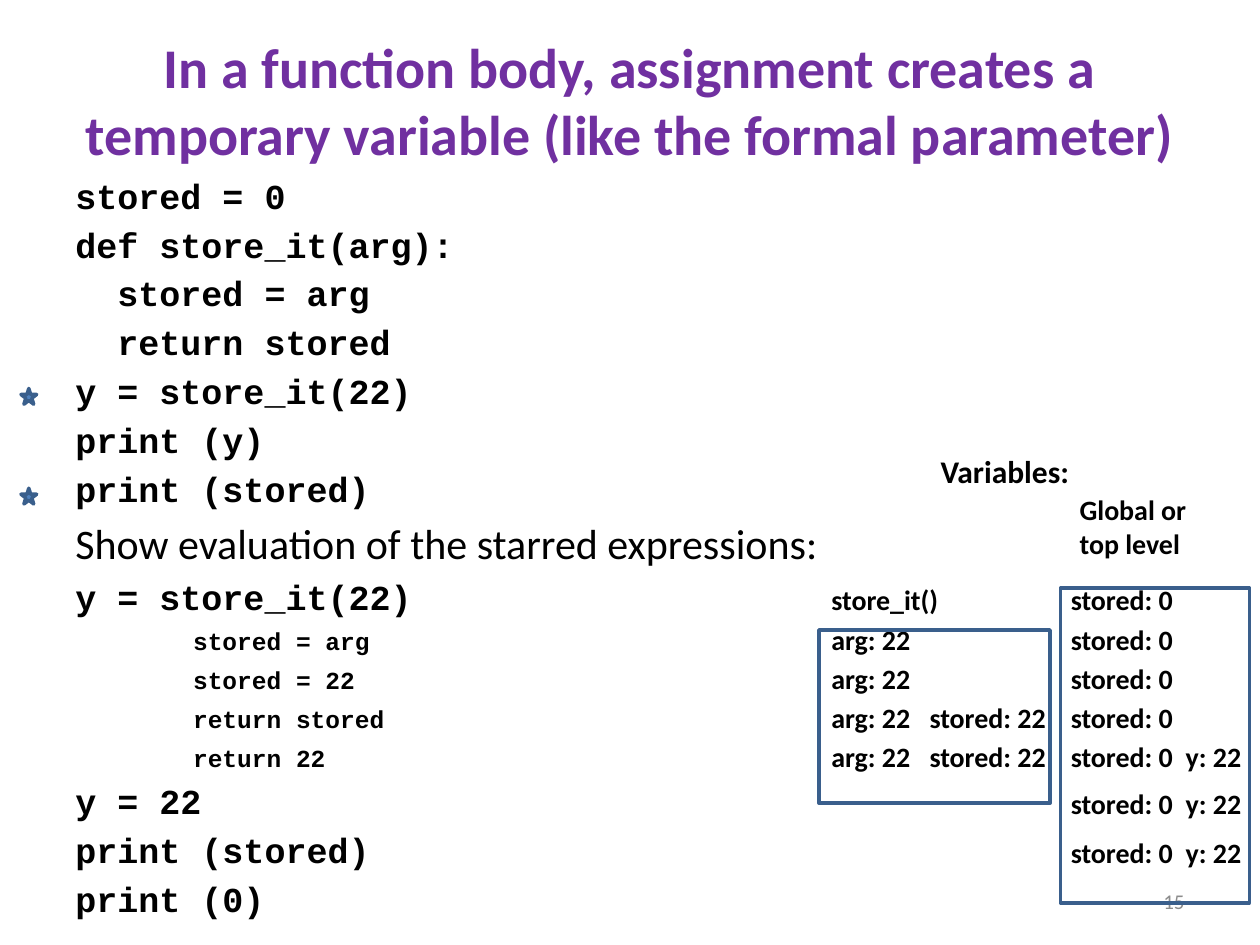
from lxml import etree
from pptx import Presentation
from pptx.dml.color import RGBColor
from pptx.enum.shapes import MSO_SHAPE
from pptx.enum.text import MSO_ANCHOR, PP_ALIGN
from pptx.oxml.ns import qn
from pptx.util import Inches, Pt

RECTANGLE, STAR = MSO_SHAPE.RECTANGLE, MSO_SHAPE.STAR_5_POINT
TOP, MIDDLE = MSO_ANCHOR.TOP, MSO_ANCHOR.MIDDLE
LEFT, CENTER, RIGHT = PP_ALIGN.LEFT, PP_ALIGN.CENTER, PP_ALIGN.RIGHT

PURPLE = RGBColor(0x70, 0x30, 0xA0)
BLACK = RGBColor(0x00, 0x00, 0x00)
GRAY = RGBColor(0x8C, 0x8C, 0x8C)
BLUE = RGBColor(0x4F, 0x81, 0xBD)
DARK_BLUE = RGBColor(0x3A, 0x5F, 0x8C)
PROSE, CODE = "Calibri", "Courier New"

prs = Presentation()
prs.slide_width, prs.slide_height = Inches(10), Inches(7.5)
slide = prs.slides.add_slide(prs.slide_layouts[6])

# Square grid: 120 columns by 90 rows
UNIT = prs.slide_width / 120


def grid(*cells):
    return [round(cell * UNIT) for cell in cells]


def write(paragraph, text, size=16, font=PROSE, color=BLACK, bold=True, align=LEFT):
    paragraph.alignment = align
    for i, line in enumerate(text.split("\n")):
        if i:
            paragraph.add_line_break()
        run = paragraph.add_run()
        run.text = line
        run.font.size, run.font.name, run.font.bold = Pt(size), font, bold
        run.font.color.rgb = color


# Title, variable headings and page number
captions = [
    ((6, 2, 108, 15), True, MIDDLE,
     "In a function body, assignment creates a temporary variable (like the formal parameter)",
     dict(size=32, color=PURPLE, align=CENTER)),
    ((101.65, 46.35, 12.7, 7.7), False, TOP, "Global or\ntop level", dict(size=16)),
    ((88.4, 42.5, 14.8, 4.8), False, TOP, "Variables:", dict(size=18)),
    ((86, 83.4, 28, 4.8), True, MIDDLE, "15",
     dict(size=12, color=GRAY, bold=False, align=RIGHT)),
]
for place, wrap, anchor, text, style in captions:
    frame = slide.shapes.add_textbox(*grid(*place)).text_frame
    frame.word_wrap, frame.vertical_anchor = wrap, anchor
    write(frame.paragraphs[0], text, **style)

# Code and its evaluation: text, style, then the variables by column
STATEMENT = dict(size=20, font=CODE)
STEP = dict(size=14, font=CODE)
QUESTION = dict(size=24, bold=False)
SPACE_BEFORE = {20: 3.9, 14: 3.1, 24: 4.8}
VARIABLE_COLUMNS = (72, 81.35, 94.8, 105.75)  # call, local, global, result
evaluation = [
    ("stored = 0", STATEMENT),
    ("def store_it(arg):", STATEMENT),
    ("  stored = arg", STATEMENT),
    ("  return stored", STATEMENT),
    ("y = store_it(22)", STATEMENT),
    ("print (y)", STATEMENT),
    ("print (stored)", STATEMENT),
    ("Show evaluation of the starred expressions:", QUESTION),
    ("y = store_it(22)", STATEMENT, "store_it()", "", "stored: 0"),
    ("        stored = arg", STEP, "arg: 22", "", "stored: 0"),
    ("        stored = 22", STEP, "arg: 22", "", "stored: 0"),
    ("        return stored", STEP, "arg: 22", "stored: 22", "stored: 0"),
    ("        return 22", STEP, "arg: 22", "stored: 22", "stored: 0", "y: 22"),
    ("y = 22", STATEMENT, "", "", "stored: 0", "y: 22"),
    ("print (stored)", STATEMENT, "", "", "stored: 0", "y: 22"),
    ("print (0)", STATEMENT),
]
body = slide.shapes.add_textbox(*grid(6, 16, 114, 64)).text_frame
body.word_wrap = True
for i, (code, style, *variables) in enumerate(evaluation):
    line = body.add_paragraph() if i else body.paragraphs[0]
    # Tab stops only for the columns this line fills
    filled = [(c, v) for c, v in zip(VARIABLE_COLUMNS, variables) if v]
    if filled:
        stops = etree.SubElement(line._p.get_or_add_pPr(), qn("a:tabLst"))
        for column, _ in filled:
            etree.SubElement(stops, qn("a:tab"), pos=str(grid(column)[0]), algn="l")
    if i:
        line.space_before = Pt(SPACE_BEFORE[style["size"]])
    write(line, code, **style)
    if filled:
        write(line, "".join("\t" + value for _, value in filled))

# Frames around the variables, and stars beside the evaluated lines
marks = [
    (RECTANGLE, (78, 60, 22, 16.5)),
    (RECTANGLE, (101, 56, 18, 30)),
    (STAR, (2, 37, 1.5, 1.5)),
    (STAR, (2, 46.5, 1.5, 1.5)),
]
for kind, place in marks:
    mark = slide.shapes.add_shape(kind, *grid(*place))
    mark.shadow.inherit = False
    mark.line.color.rgb, mark.line.width = DARK_BLUE, Pt(2)
    if kind == STAR:
        mark.fill.solid()
        mark.fill.fore_color.rgb = BLUE
    else:
        mark.fill.background()

prs.save("out.pptx")
